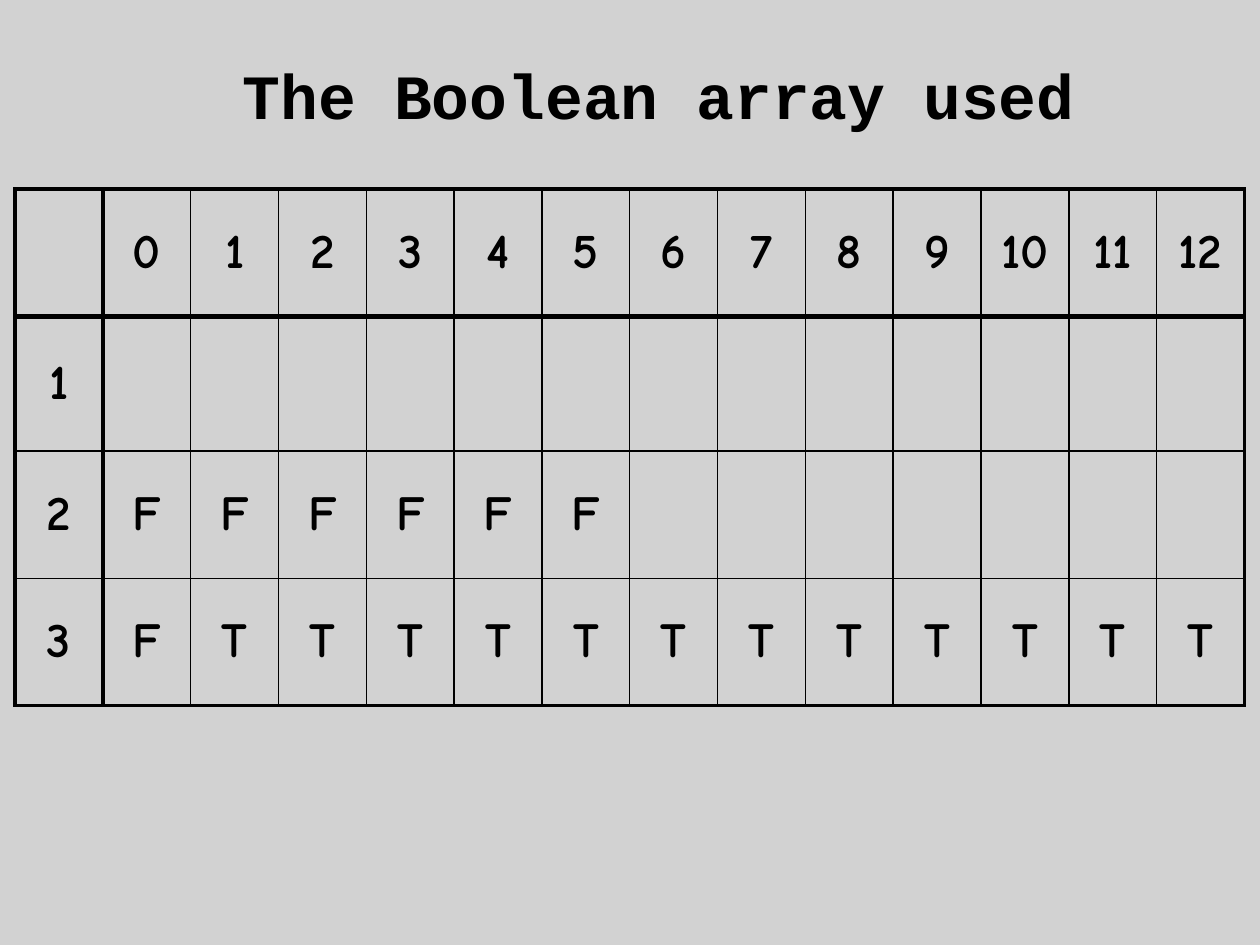
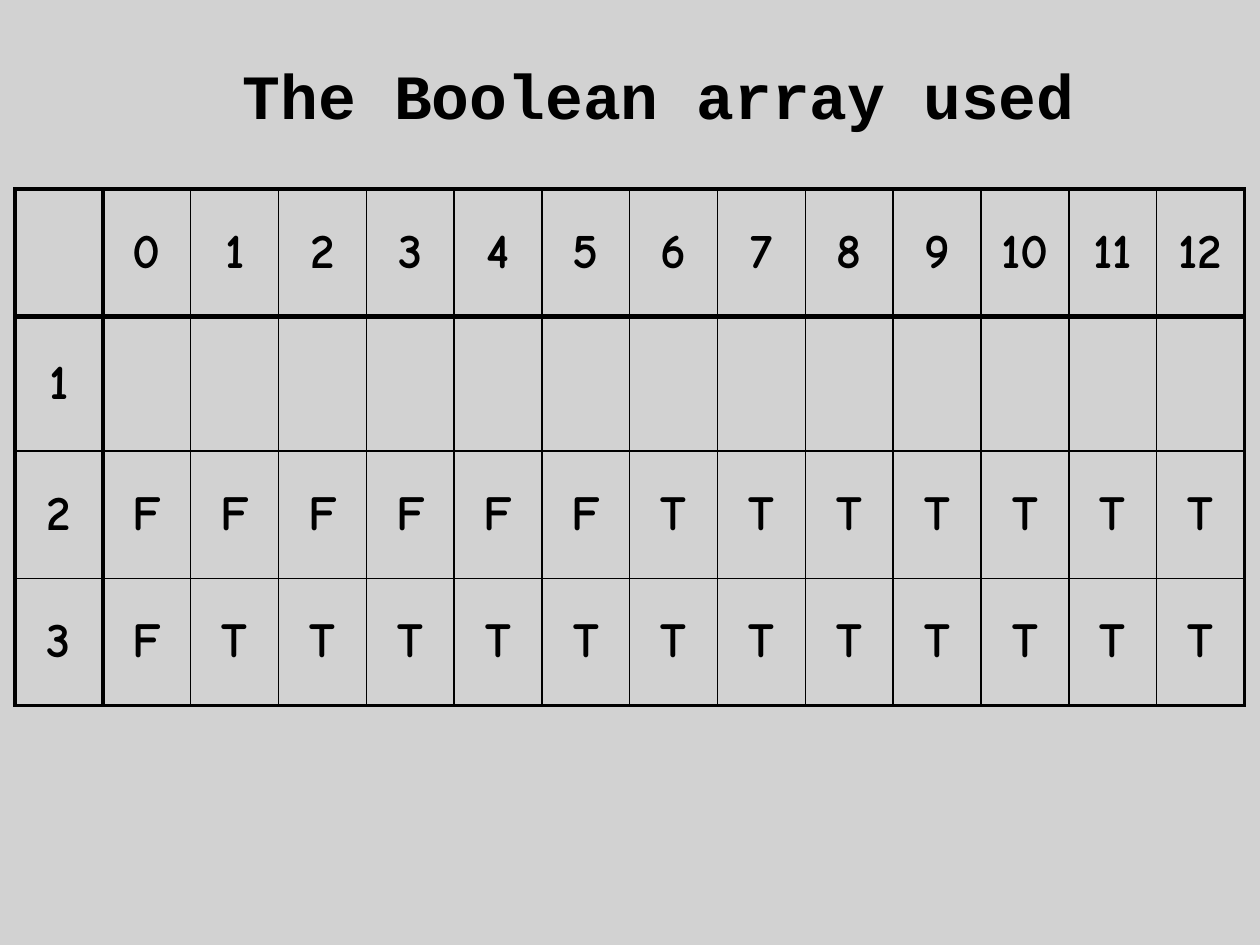
from pptx import Presentation
from pptx.dml.color import RGBColor
from pptx.enum.shapes import MSO_SHAPE
from pptx.enum.text import MSO_ANCHOR, MSO_AUTO_SIZE, PP_ALIGN
from pptx.oxml.ns import qn
from pptx.util import Inches, Pt
from lxml.etree import SubElement

BLACK = RGBColor(0, 0, 0)
SILVER = RGBColor(0xC0, 0xC0, 0xC0)
HEAD_FONT = "Courier New"
CELL_FONT = "Comic Neue"
THIN, EDGE, THICK = 1, 2.25, 3  # border widths in points

HEAD = [""] + [str(n) for n in range(13)]
LAST = ["3", "F"] + ["T"] * 12


def add_run(para, text, font, size):
    run = para.add_run()
    run.text = text
    run.font.name = font
    run.font.size = Pt(size)
    run.font.bold = True
    run.font.color.rgb = BLACK


def add_back(slide, left, top, width, height):
    back = slide.shapes.add_shape(MSO_SHAPE.RECTANGLE, Inches(left), Inches(top),
                                  Inches(width), Inches(height))
    back.shadow.inherit = False
    back.line.fill.background()
    back.fill.solid()
    back.fill.fore_color.rgb = SILVER
    # Let 70 percent of the silver cover the white page
    tone = next(back.fill._xPr.iter(qn("a:srgbClr")))
    SubElement(tone, qn("a:alpha"), val="70000")


def add_title(slide, text, left, top, width, height):
    box = slide.shapes.add_textbox(Inches(left), Inches(top),
                                   Inches(width), Inches(height))
    frame = box.text_frame
    frame.word_wrap = True
    frame.auto_size = MSO_AUTO_SIZE.SHAPE_TO_FIT_TEXT
    add_run(frame.paragraphs[0], text, HEAD_FONT, 36)


def rule_width(index, count):
    """Width of grid rule `index`: outer edge, header rule or inner rule."""
    if index in (0, count):
        return EDGE
    return THICK if index == 1 else THIN


def set_borders(cell, widths):
    props = cell._tc.get_or_add_tcPr()
    for side, width in zip("LRTB", widths):
        line = SubElement(props, qn("a:ln" + side), w=str(Pt(width)))
        fill = SubElement(line, qn("a:solidFill"))
        SubElement(fill, qn("a:srgbClr"), val=str(BLACK))


def add_grid(slide, rows, left, top, width, heights):
    tall, wide = len(rows), len(rows[0])
    table = slide.shapes.add_table(tall, wide, Inches(left), Inches(top),
                                   Inches(width), Inches(sum(heights))).table
    table.first_row = table.horz_banding = False
    for col in table.columns:
        col.width = Inches(width / wide)
    for i, (row, height) in enumerate(zip(rows, heights)):
        table.rows[i].height = Inches(height)
        for j, text in enumerate(row):
            cell = table.cell(i, j)
            set_borders(cell, (rule_width(j, wide), rule_width(j + 1, wide),
                               rule_width(i, tall), rule_width(i + 1, tall)))
            cell.fill.background()
            cell.vertical_anchor = MSO_ANCHOR.MIDDLE
            para = cell.text_frame.paragraphs[0]
            para.alignment = PP_ALIGN.CENTER
            if text:
                add_run(para, text, CELL_FONT, 28)


def add_page(deck, tail):
    """One step of the array; `tail` fills columns 6 to 12 of row 2."""
    slide = deck.slides.add_slide(deck.slide_layouts[6])
    add_back(slide, 0, 0, 10, 7.5)
    rows = [HEAD, ["1"] + [""] * 13, ["2"] + ["F"] * 6 + [tail] * 7, LAST]
    add_grid(slide, rows, 0.12, 1.5, 9.76, [1.01, 1.07, 1.01, 1.01])
    add_title(slide, "The Boolean array used", 1.83, 0.4, 6.87, 0.71)


def main():
    deck = Presentation()
    deck.slide_width, deck.slide_height = Inches(10), Inches(7.5)
    for tail in ("", "T"):
        add_page(deck, tail)
    deck.save("out.pptx")


if __name__ == "__main__":
    main()
